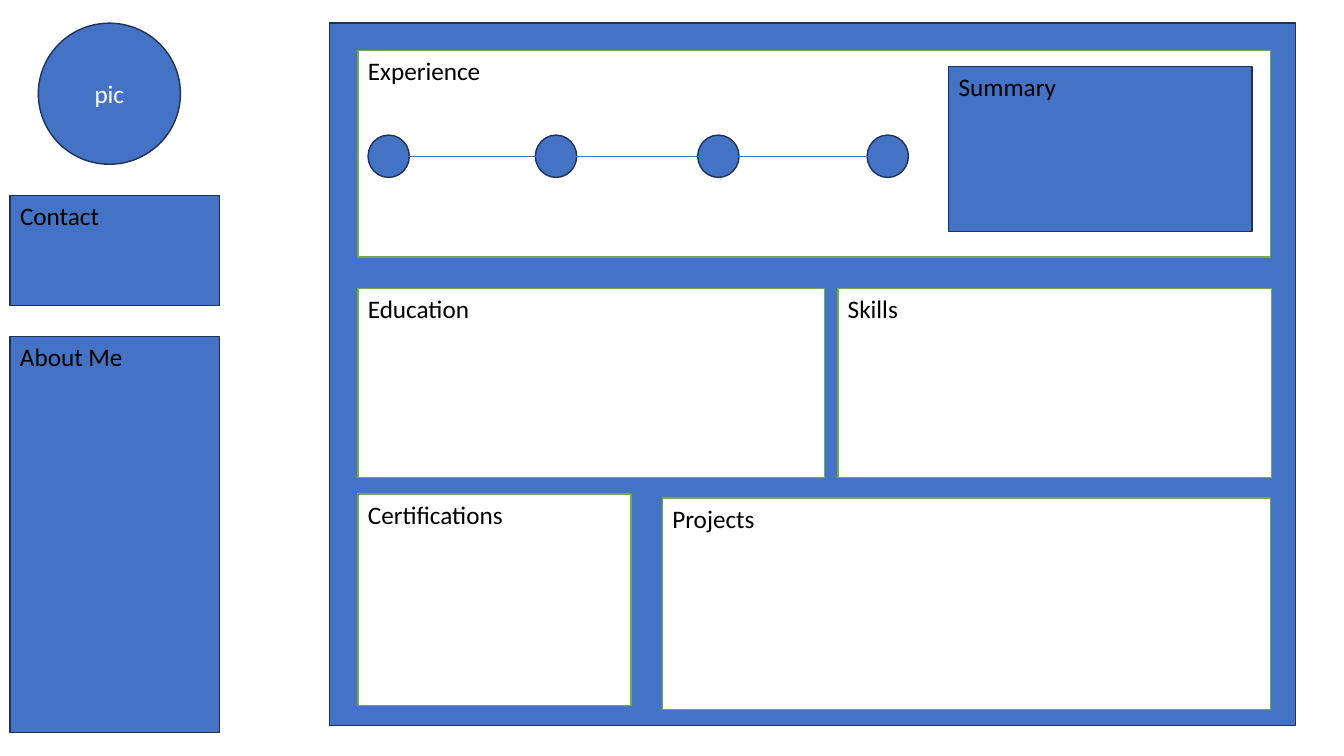
"""Builds a one-page résumé layout slide with a profile column and a main board."""
from pptx import Presentation
from pptx.dml.color import RGBColor
from pptx.enum.shapes import MSO_CONNECTOR as CONN, MSO_SHAPE as SHAPE
from pptx.enum.text import MSO_ANCHOR as ANCHOR, MSO_AUTO_SIZE as AUTO, PP_ALIGN as ALIGN
from pptx.oxml.ns import qn
from pptx.util import Emu, Pt
from lxml.etree import SubElement

BLUE = RGBColor(0x44, 0x72, 0xC4)
NAVY = RGBColor(0x1E, 0x32, 0x56)
GREEN = RGBColor(0x70, 0xAD, 0x47)
WHITE = RGBColor(0xFF, 0xFF, 0xFF)
BLACK = RGBColor(0x00, 0x00, 0x00)
FONT, SIZE = "Calibri", 18
PX = 9144
SLIDE_W, SLIDE_H = 1333, 750
LABEL_H = 40

BLUE_BOX = (BLUE, NAVY)
WHITE_BOX = (WHITE, GREEN)

PHOTO = ("pic", (38, 23, 141, 140))
BOARD = (327, 23, 958, 697)
PANELS = [
    ("Contact", 101, (10, 194, 208, 109), BLUE_BOX),
    ("About Me", 130, (10, 334, 208, 393), BLUE_BOX),
    ("Experience", 141, (355, 50, 905, 205), WHITE_BOX),
    ("Summary", 121, (941, 66, 301, 164), BLUE_BOX),
    ("Education", 129, (355, 286, 463, 188), WHITE_BOX),
    ("Skills", 70, (831, 286, 430, 188), WHITE_BOX),
    ("Certifications", 158, (355, 490, 271, 210), WHITE_BOX),
    ("Projects", 105, (657, 494, 603, 210), WHITE_BOX),
]
MILESTONES = [365, 531, 692, 860]
MILESTONE_TOP, MILESTONE_W, MILESTONE_H = 134, 41, 42
TIMELINE = (390, 155, 896, 155)


def px(*lengths):
    return [Emu(n * PX) for n in lengths]


def add_box(s, kind, box, colors):
    sp = s.shapes.add_shape(kind, *px(*box))
    sp.shadow.inherit = False
    fill, line = colors
    sp.fill.solid()
    sp.fill.fore_color.rgb = fill
    sp.line.color.rgb = line
    sp.line.width = Pt(1)
    return sp


def add_text(tf, text, color, align):
    p = tf.paragraphs[0]
    p.alignment = align
    r = p.add_run()
    r.text = text
    r.font.name, r.font.size = FONT, Pt(SIZE)
    r.font.color.rgb = color


def add_label(s, text, left, top, width):
    tf = s.shapes.add_textbox(*px(left, top, width, LABEL_H)).text_frame
    tf.word_wrap = False
    tf.auto_size = AUTO.SHAPE_TO_FIT_TEXT
    add_text(tf, text, BLACK, ALIGN.LEFT)


def add_timeline(s):
    for left in MILESTONES:
        box = (left, MILESTONE_TOP, MILESTONE_W, MILESTONE_H)
        add_box(s, SHAPE.FLOWCHART_CONNECTOR, box, BLUE_BOX)
    line = s.shapes.add_connector(CONN.STRAIGHT, *px(*TIMELINE))
    line.line.color.rgb = BLUE
    line.line.width = Pt(0.5)
    SubElement(line._element.spPr, qn("a:effectLst"))


def main():
    prs = Presentation()
    prs.slide_width, prs.slide_height = px(SLIDE_W, SLIDE_H)
    s = prs.slides.add_slide(prs.slide_layouts[6])

    name, box = PHOTO
    tf = add_box(s, SHAPE.FLOWCHART_CONNECTOR, box, BLUE_BOX).text_frame
    tf.vertical_anchor = ANCHOR.MIDDLE
    add_text(tf, name, WHITE, ALIGN.CENTER)

    add_box(s, SHAPE.RECTANGLE, BOARD, BLUE_BOX)
    for name, label_w, box, colors in PANELS:
        add_box(s, SHAPE.RECTANGLE, box, colors)
        add_label(s, name, box[0], box[1], label_w)
    add_timeline(s)
    prs.save("out.pptx")


if __name__ == "__main__":
    main()
